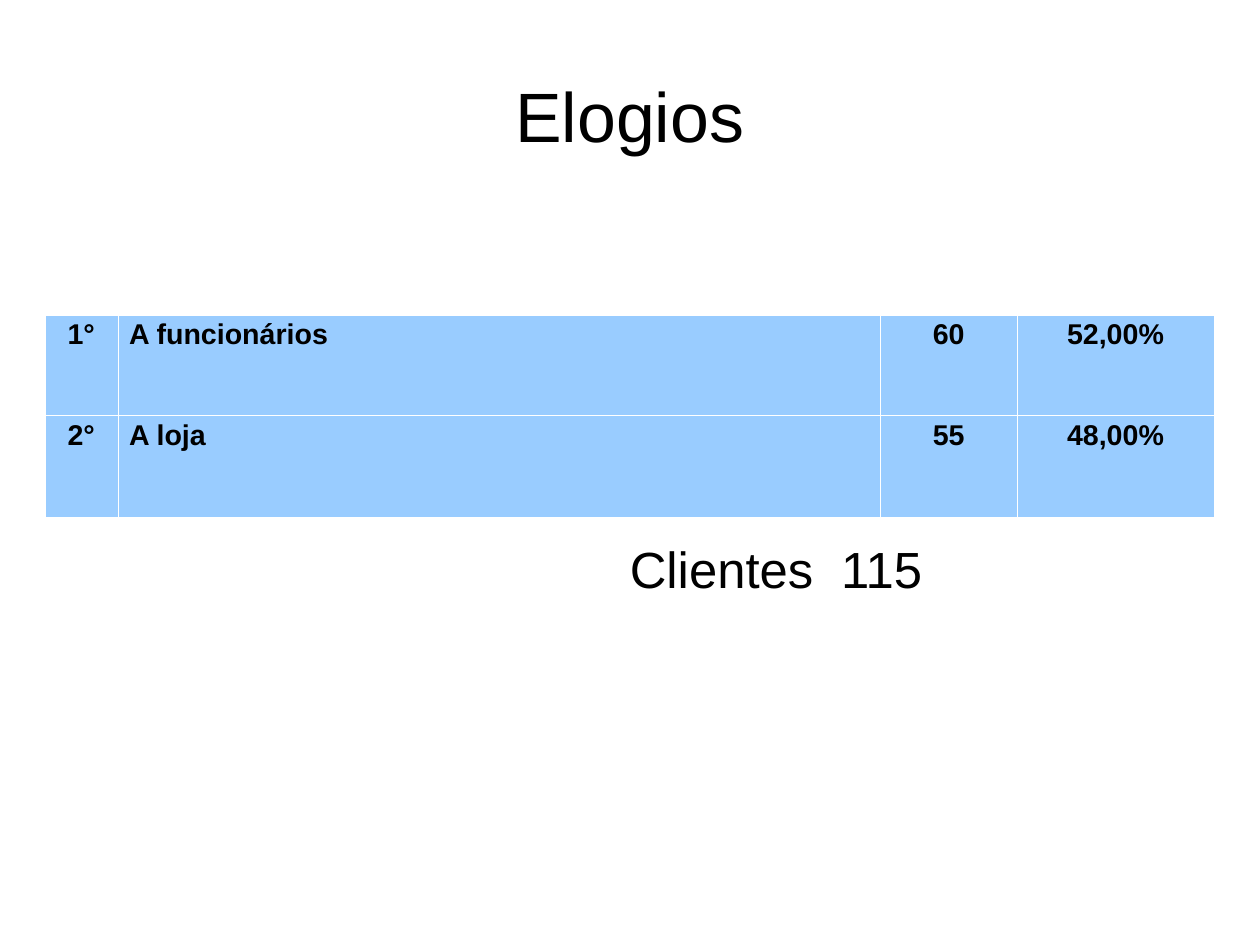
import dataclasses

import lxml.etree
import pptx
import pptx.dml.color
import pptx.enum.text
import pptx.oxml.ns
import pptx.util

ALIGN = pptx.enum.text.PP_ALIGN
ANCHOR = pptx.enum.text.MSO_ANCHOR
Inches = pptx.util.Inches
qn = pptx.oxml.ns.qn


@dataclasses.dataclass(frozen=True)
class Theme:
    font: str = "Arial"
    ink: str = "000000"
    cell: str = "99CCFF"
    border: str = "FFFFFF"
    border_points: float = 0.06
    title_size: int = 44
    total_size: int = 32
    cell_size: int = 18
    line_spacing: float = 0.93


THEME = Theme()
PAGE_WIDTH, PAGE_HEIGHT = pptx.util.Cm(28), pptx.util.Cm(21)
COLUMN_WIDTHS = (0.64, 6.67, 1.2, 1.72)
ROW_HEIGHTS = (0.88, 0.89)
PRAISE_ROWS = (
    ("1°", "A funcionários", "60", "52,00%"),
    ("2°", "A loja", "55", "48,00%"),
)


def style_text(para, size, align=ALIGN.LEFT, bold=False):
    para.alignment = align
    para.line_spacing = THEME.line_spacing
    for span in para.runs:
        span.font.name = THEME.font
        span.font.size = pptx.util.Pt(size)
        span.font.bold = bold
        span.font.color.rgb = pptx.dml.color.RGBColor.from_string(THEME.ink)


def add_text_box(page, box, text, anchor, margin_left, margin_top):
    frame = page.shapes.add_textbox(*map(Inches, box)).text_frame
    frame.word_wrap = True
    frame.vertical_anchor = anchor
    frame.margin_left, frame.margin_top = Inches(margin_left), Inches(margin_top)
    frame.margin_right = frame.margin_bottom = 0
    frame.text = text
    return frame.paragraphs[0]


def add_title(page, box):
    para = add_text_box(page, box, "Elogios", ANCHOR.MIDDLE, 0, 0.04)
    style_text(para, THEME.title_size, ALIGN.CENTER)


def set_borders(cell):
    properties = cell._tc.get_or_add_tcPr()
    for position, side in enumerate(("a:lnL", "a:lnR", "a:lnT", "a:lnB")):
        line = lxml.etree.Element(qn(side), w=str(pptx.util.Pt(THEME.border_points)))
        fill = lxml.etree.SubElement(line, qn("a:solidFill"))
        lxml.etree.SubElement(fill, qn("a:srgbClr"), val=THEME.border)
        properties.insert(position, line)


def add_praise_table(page, box):
    shape = page.shapes.add_table(len(PRAISE_ROWS), len(COLUMN_WIDTHS), *map(Inches, box))
    table = shape.table
    table.first_row = table.horz_banding = False
    for column, width in zip(table.columns, COLUMN_WIDTHS):
        column.width = Inches(width)
    for row, height, values in zip(table.rows, ROW_HEIGHTS, PRAISE_ROWS):
        row.height = Inches(height)
        for index, (cell, value) in enumerate(zip(row.cells, values)):
            cell.text = value
            cell.fill.solid()
            cell.fill.fore_color.rgb = pptx.dml.color.RGBColor.from_string(THEME.cell)
            set_borders(cell)
            align = ALIGN.LEFT if index == 1 else ALIGN.CENTER
            style_text(cell.text_frame.paragraphs[0], THEME.cell_size, align, bold=True)


def add_client_total(page, box):
    """Label and count, parted by a tab stop."""
    para = add_text_box(page, box, "Clientes\t115", ANCHOR.TOP, 0.59, 0.03)
    tabs = lxml.etree.SubElement(para._p.get_or_add_pPr(), qn("a:tabLst"))
    lxml.etree.SubElement(tabs, qn("a:tab"), pos=str(Inches(1.85)), algn="l")
    style_text(para, THEME.total_size)


def main():
    deck = pptx.Presentation()
    deck.slide_width, deck.slide_height = PAGE_WIDTH, PAGE_HEIGHT
    width, height = PAGE_WIDTH.inches, PAGE_HEIGHT.inches
    page = deck.slides.add_slide(deck.slide_layouts[6])
    add_title(page, (width * 0.05, height * 0.04, width * 0.9, height / 6))
    add_praise_table(page, (0.39, height / 3, sum(COLUMN_WIDTHS), sum(ROW_HEIGHTS)))
    add_client_total(page, (4.92, 4.72, 4.13, 0.98))
    deck.save("out.pptx")


if __name__ == "__main__":
    main()
